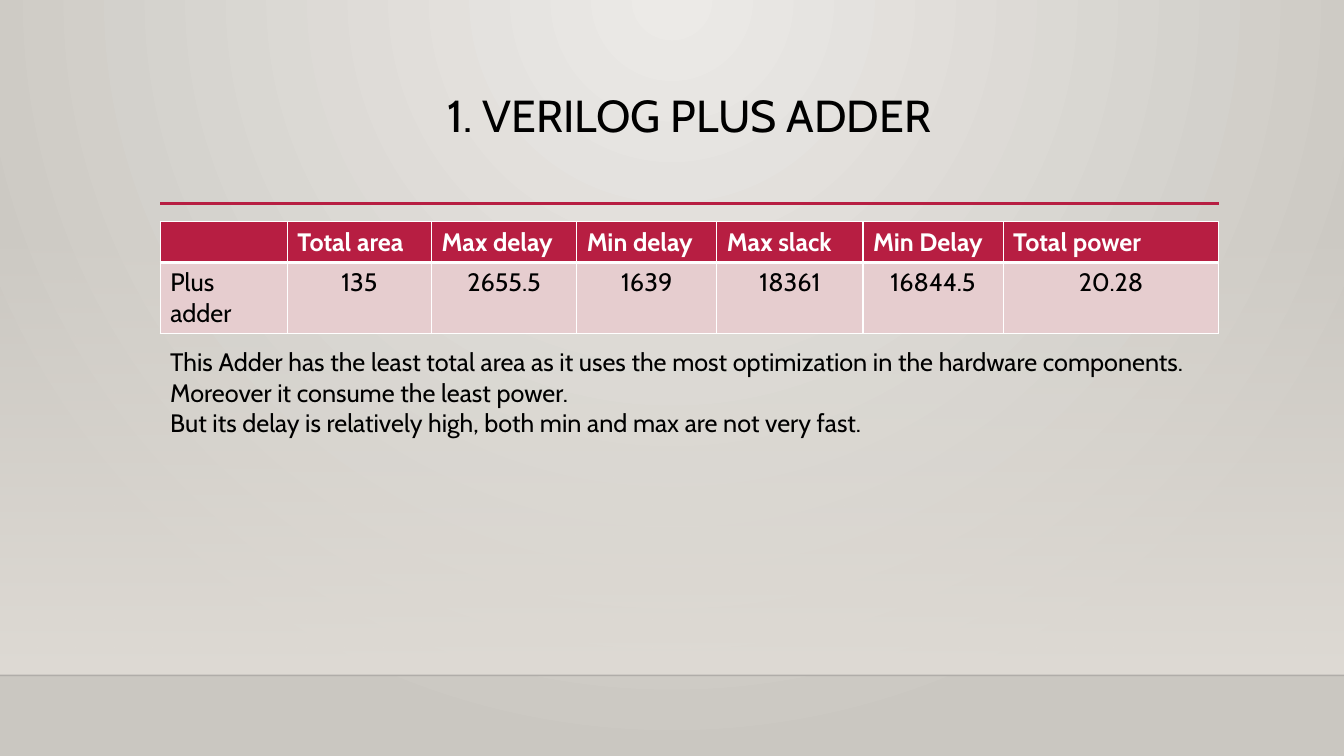
from pptx import Presentation
from pptx.dml.color import RGBColor as RGB
from pptx.enum.shapes import MSO_CONNECTOR as Link, MSO_SHAPE as Shape
from pptx.enum.text import MSO_ANCHOR as Anchor, PP_ALIGN as Align
from pptx.oxml import parse_xml
from pptx.oxml.ns import nsdecls, qn
from pptx.util import Inches, Pt
from lxml.etree import SubElement

WIDE, HIGH = 13.33, 7.5
LEFT, SPAN = 1.59, 10.5
FLOOR = 6.7
FONT = "Cabin"
RED = RGB(0xB7, 0x1E, 0x42)
PINK = RGB(0xE6, 0xCD, 0xCF)
WHITE = RGB(0xFF, 0xFF, 0xFF)
BLACK = RGB(0, 0, 0)
INK = RGB(0, 0, 1)
PALE = RGB(0xEC, 0xEA, 0xE7)
GRAY = RGB(0xCA, 0xC7, 0xC1)
SAND = RGB(0xDF, 0xDB, 0xD5)

COLS = [1.26, 1.43, 1.44, 1.39, 1.45, 1.39, 2.14]
HEAD = ["", "Total area", "Max delay", "Min delay", "Max slack", "Min Delay", "Total power"]
BODY = ["Plus adder", "135", "2655.5", "1639", "18361", "16844.5", "20.28"]
NOTES = [
    "This Adder has the least total area as it uses the most optimization in the hardware components.",
    "Moreover it consume the least power.",
    "But its delay is relatively high, both min and max are not very fast.",
]


def blend(fill, root, first, last, alpha, shape):
    fill.gradient()
    old = root.xpath(".//a:gradFill")[0]
    new = parse_xml(
        f'<a:gradFill {nsdecls("a")} rotWithShape="1"><a:gsLst>'
        f'<a:gs pos="0"><a:srgbClr val="{first}"><a:alpha val="{alpha}"/></a:srgbClr></a:gs>'
        f'<a:gs pos="100000"><a:srgbClr val="{last}"/></a:gs>'
        f'</a:gsLst>{shape}</a:gradFill>')
    old.getparent().replace(old, new)


def write(para, text, size, color, bold=False, align=Align.LEFT):
    para.alignment = align
    run = para.add_run()
    run.text = text
    font = run.font
    font.name, font.size, font.bold = FONT, Pt(size), bold
    font.color.rgb = color


def rule(slide, x, y, width, color, weight, alpha=100):
    line = slide.shapes.add_connector(
        Link.STRAIGHT, Inches(x), Inches(y), Inches(x + width), Inches(y))
    line.line.color.rgb = color
    line.line.width = Pt(weight)
    props = line._element.spPr
    tint = props.xpath(".//a:srgbClr")[0]
    SubElement(tint, qn("a:alpha")).set("val", str(alpha * 1000))
    SubElement(props, qn("a:effectLst"))


def scene(slide):
    blend(slide.background.fill, slide._element, PALE, GRAY, 100000,
          '<a:path path="circle"><a:fillToRect l="43000" r="43000" b="100000"/></a:path>')
    top = 2.21
    wall = slide.shapes.add_shape(
        Shape.RECTANGLE, 0, Inches(top), Inches(WIDE), Inches(FLOOR - top))
    wall.shadow.inherit = False
    wall.line.fill.background()
    blend(wall.fill, wall._element, SAND, SAND, 0, '<a:lin ang="5400000" scaled="0"/>')
    rule(slide, 0, FLOOR, WIDE, INK, 1, 20)


def label(slide, x, y, width, height):
    box = slide.shapes.add_textbox(*map(Inches, (x, y, width, height)))
    frame = box.text_frame
    frame.word_wrap = True
    frame.vertical_anchor = Anchor.TOP
    return frame


def title(slide, x, y, width, height):
    para = label(slide, x, y, width, height).paragraphs[0]
    para.line_spacing = 0.9
    write(para, "1. VERILOG PLUS ADDER", 32, BLACK, align=Align.CENTER)
    rule(slide, x, y + height - 0.01, width, RED, 2.5)


def edge(cell, top, base):
    props = cell._tc.get_or_add_tcPr()
    sides = zip(("lnL", "lnR", "lnT", "lnB"), (1, 1, top, base))
    for spot, (side, weight) in enumerate(sides):
        props.insert(spot, parse_xml(
            f'<a:{side} {nsdecls("a")} w="{Pt(weight)}"><a:solidFill>'
            f'<a:srgbClr val="{WHITE}"/></a:solidFill></a:{side}>'))


def grid(slide, x, y, width, height):
    table = slide.shapes.add_table(
        2, len(COLS), *map(Inches, (x, y, width, height))).table
    for col, size in zip(table.columns, COLS):
        col.width = Inches(size)
    for r, texts in enumerate((HEAD, BODY)):
        for c, text in enumerate(texts):
            cell = table.cell(r, c)
            cell.fill.solid()
            cell.fill.fore_color.rgb = PINK if r else RED
            edge(cell, 3 if r else 1, 1 if r else 3)
            if text:
                write(cell.text_frame.paragraphs[0], text, 18,
                      BLACK if r else WHITE, not r,
                      Align.CENTER if r and c else Align.LEFT)


def notes(slide, x, y, width, height):
    frame = label(slide, x, y, width, height)
    for n, text in enumerate(NOTES):
        para = frame.add_paragraph() if n else frame.paragraphs[0]
        write(para, text, 18, BLACK)


def main():
    deck = Presentation()
    deck.slide_width, deck.slide_height = Inches(WIDE), Inches(HIGH)
    slide = deck.slides.add_slide(deck.slide_layouts[6])
    scene(slide)
    title(slide, LEFT, 0.88, SPAN, 1.15)
    grid(slide, LEFT, 2.2, SPAN, 0.81)
    notes(slide, LEFT, 3.39, SPAN, 1.01)
    deck.save("out.pptx")


if __name__ == "__main__":
    main()
